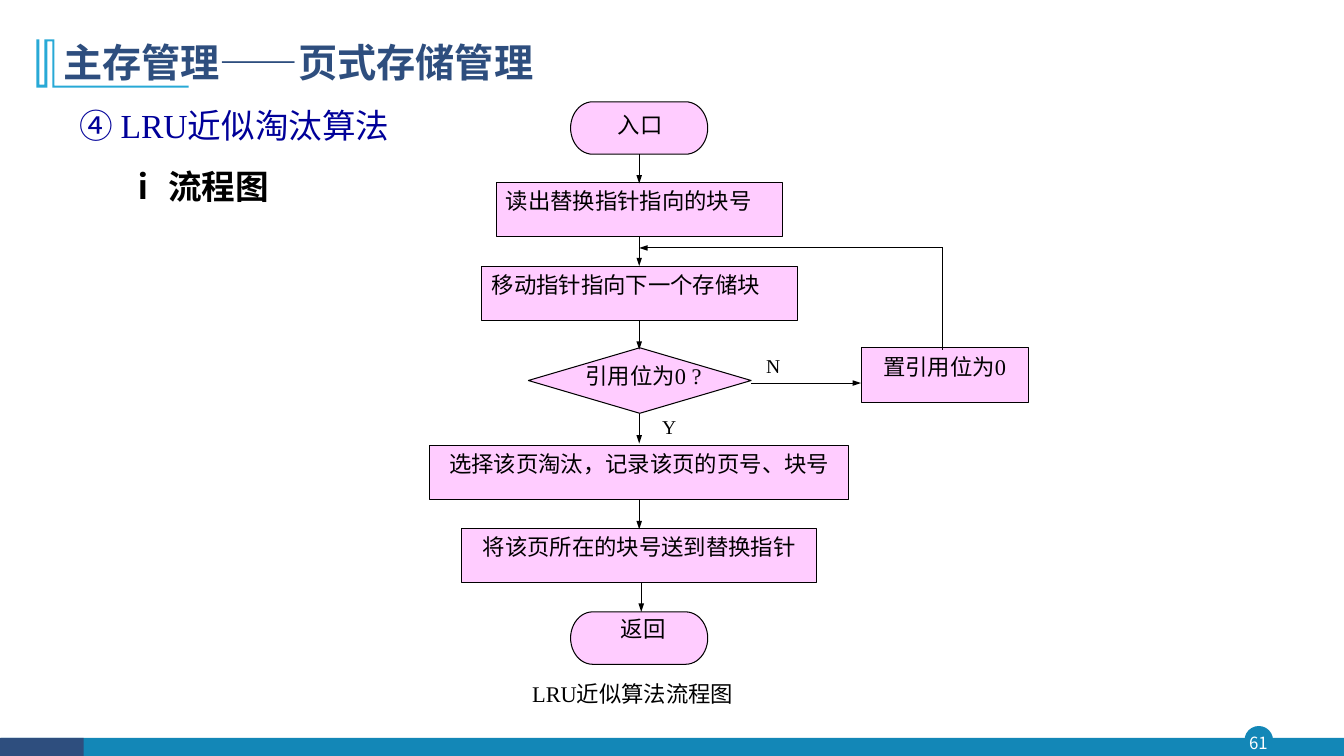
from dataclasses import dataclass

from lxml import etree
from pptx import Presentation
from pptx.dml.color import RGBColor
from pptx.enum.shapes import MSO_CONNECTOR, MSO_SHAPE
from pptx.enum.text import MSO_ANCHOR, PP_ALIGN
from pptx.oxml.ns import qn
from pptx.util import Pt

RECT, OVAL = MSO_SHAPE.RECTANGLE, MSO_SHAPE.OVAL
TERM, TEST = MSO_SHAPE.FLOWCHART_TERMINATOR, MSO_SHAPE.FLOWCHART_DECISION
STRAIGHT = MSO_CONNECTOR.STRAIGHT
TOP, MIDDLE, BOTTOM = MSO_ANCHOR.TOP, MSO_ANCHOR.MIDDLE, MSO_ANCHOR.BOTTOM
LEFT, CENTER = PP_ALIGN.LEFT, PP_ALIGN.CENTER
SCALE = 9144  # EMU in one px, 100 px to the inch
MID = 634


@dataclass(frozen=True)
class Theme:
    sans: str = "Noto Sans CJK SC"
    serif: str = "Times New Roman"
    black: str = "000000"
    white: str = "FFFFFF"
    navy: str = "2E4E7E"
    teal: str = "1387B7"
    sky: str = "28A9D6"
    blue: str = "000099"
    pink: str = "FFCCFF"
    title: int = 28
    head: int = 24
    body: int = 16
    label: int = 14
    page: int = 12
    thin: float = 0.75


THEME = Theme()


def px(*nums):
    return [n * SCALE for n in nums]


def apply(target, values):
    for name, value in values.items():
        setattr(target, name, value)


def paint(shape, fill, line=None, width=THEME.thin):
    shape.shadow.inherit = False
    shape.fill.solid()
    shape.fill.fore_color.rgb = RGBColor.from_string(fill)
    if line:
        shape.line.color.rgb = RGBColor.from_string(line)
        shape.line.width = Pt(width)
    else:
        shape.line.fill.background()


def write(shape, runs, size=THEME.body, color=THEME.black, bold=False,
          anchor=TOP, align=LEFT, space=None, indent=None, frame=None):
    """Fill a shape with one paragraph of (text, font) runs."""
    text = shape.text_frame
    apply(text, {"word_wrap": True, "vertical_anchor": anchor, **(frame or {})})
    para = text.paragraphs[0]
    apply(para, {"alignment": align, "line_spacing": space})
    if indent:
        left, first = px(*indent)
        props = para._p.get_or_add_pPr()
        props.set("marL", str(left))
        props.set("indent", str(first))
    for words, face in runs:
        run = para.add_run()
        run.text = words
        apply(run.font, {"name": face, "size": Pt(size), "bold": bold})
        run.font.color.rgb = RGBColor.from_string(color)
        east = etree.SubElement(run._r.get_or_add_rPr(), qn("a:ea"))
        east.set("typeface", THEME.sans)


def label(slide, box, runs, **style):
    write(slide.shapes.add_textbox(*px(*box)), runs, **style)


def block(slide, kind, box, fill, line=None, width=THEME.thin):
    shape = slide.shapes.add_shape(kind, *px(*box))
    paint(shape, fill, line, width)
    return shape


def node(slide, kind, mid, top, width, height):
    """Add a flow chart shape centred on mid."""
    box = (mid - width // 2, top, width, height)
    return block(slide, kind, box, THEME.pink, THEME.black)


def link(slide, start, end, arrow=True):
    wire = slide.shapes.add_connector(STRAIGHT, *px(*start, *end))
    wire.line.color.rgb = RGBColor.from_string(THEME.black)
    wire.line.width = Pt(THEME.thin)
    if arrow:
        head = etree.SubElement(wire.line._get_or_add_ln(), qn("a:tailEnd"))
        for key, value in {"type": "triangle", "w": "sm", "len": "med"}.items():
            head.set(key, value)
    etree.SubElement(wire._element.spPr, qn("a:effectLst"))


def draw_frame(slide):
    block(slide, OVAL, (1235, 721, 27, 27), THEME.teal, THEME.teal, 1)
    block(slide, RECT, (1, 732, 1332, 19), THEME.teal)
    block(slide, RECT, (0, 732, 83, 19), THEME.navy)
    sides = ("left", "top", "right", "bottom")
    label(slide, (1232, 721, 32, 31), [("61", THEME.sans)], size=THEME.page,
          color=THEME.white, anchor=MIDDLE, align=CENTER,
          frame={f"margin_{side}": 0 for side in sides})
    points = [(54, 85), (187, 85), (187, 87), (52, 87), (52, 41), (47, 41),
              (47, 87), (36, 87), (36, 39), (39, 39), (39, 84), (44, 84),
              (44, 39)]
    path = slide.shapes.build_freeform(54, 39, scale=SCALE)
    path.add_line_segments(points, close=True)
    paint(path.convert_to_shape(), THEME.sky)


def draw_heads(slide):
    sans, serif = THEME.sans, THEME.serif
    label(slide, (53, 34, 1049, 56), [("主存管理——页式存储管理", sans)],
          size=THEME.title, color=THEME.navy, bold=True, anchor=BOTTOM, space=0.9)
    label(slide, (69, 91, 654, 58), [("④ ", sans), ("LRU近似淘汰算法", serif)],
          size=THEME.head, color=THEME.blue, space=1.2, indent=(58, -58))
    label(slide, (53, 148, 272, 57), [("ⅰ ", sans), ("流程图", serif)],
          size=THEME.head, bold=True, space=1.3, indent=(100, -37))


def draw_flow(slide):
    sans, serif = THEME.sans, THEME.serif
    for top in (101, 607):
        node(slide, TERM, MID, top, 136, 52)
    node(slide, TEST, MID, 345, 221, 65)
    steps = [
        (MID, 181, 284, LEFT, [("读出替换指针指向的块号", serif)]),
        (MID, 264, 313, LEFT, [("移动指针指向下一个存储块", serif)]),
        (MID, 442, 416, CENTER,
         [("选择该页淘汰，记录该页的页号", serif), ("、块号", sans)]),
        (MID, 524, 352, CENTER,
         [("将该页所在的", serif), ("块号送到", sans), ("替换指针", serif)]),
        (937, 345, 166, CENTER, [("置引用位为0", serif)]),
    ]
    for mid, top, width, align, runs in steps:
        write(node(slide, RECT, mid, top, width, 54), runs, align=align)

    for mid, top in [(MID, 153), (MID, 235), (MID, 318), (MID, 411),
                     (MID, 496), (636, 578)]:
        link(slide, (mid, top), (mid, top + 29))
    link(slide, (745, 380), (854, 380))
    link(slide, (935, 246), (935, 347), arrow=False)
    link(slide, (935, 246), (MID, 246))

    notes = [
        ((603, 105, 91, 50), "入口", THEME.body, LEFT),
        ((571, 354, 154, 62), "引用位为0 ?", THEME.body, LEFT),
        ((590, 605, 96, 50), "返回", THEME.body, CENTER),
        ((647, 407, 66, 62), "Y", THEME.label, LEFT),
        ((750, 346, 66, 63), "N", THEME.label, LEFT),
        ((518, 670, 226, 37), "LRU近似算法流程图", THEME.body, LEFT),
    ]
    for box, words, size, align in notes:
        label(slide, box, [(words, serif)], size=size, align=align)


def main():
    deck = Presentation()
    deck.slide_width, deck.slide_height = px(1333, 750)
    slide = deck.slides.add_slide(deck.slide_layouts[6])
    draw_frame(slide)
    draw_heads(slide)
    draw_flow(slide)
    deck.save("out.pptx")


if __name__ == "__main__":
    main()
